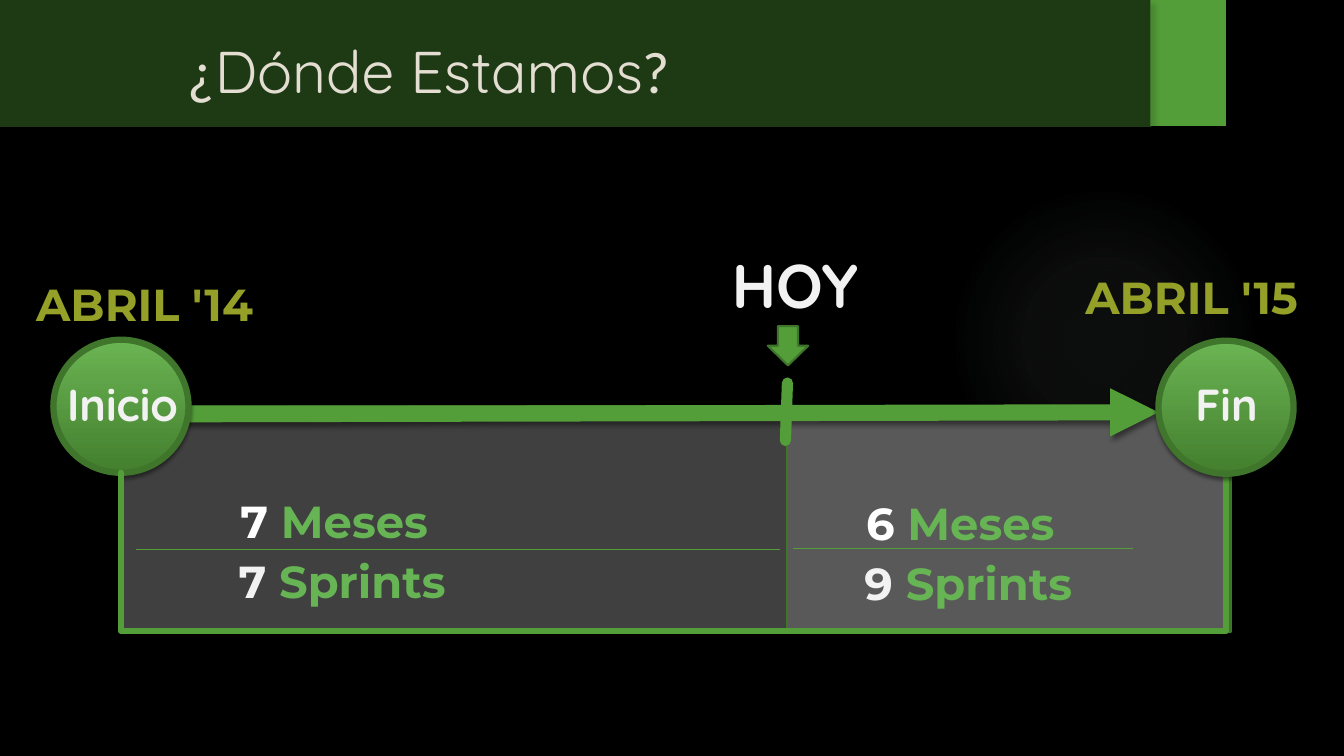
import pptx
import pptx.dml.color
import pptx.enum.dml
import pptx.enum.shapes
import pptx.enum.text
import pptx.oxml
import pptx.oxml.ns
import pptx.util

Inches = pptx.util.Inches
Pt = pptx.util.Pt
qn = pptx.oxml.ns.qn
Preset = pptx.enum.shapes.MSO_SHAPE

COLORS = {
    "black": "000000", "glow": "AFC5B9", "green": "549E39", "edge": "3E752A",
    "past": "404040", "future": "595959", "olive": "94A027", "unit": "66B453",
    "white": "FFFFFF", "soft": "F2F2F2", "cream": "E3DED1",
    "ball_top": "6BB453", "ball_bottom": "437F2E", "ball_edge": "3F762B",
}
NS = pptx.oxml.ns.nsdecls("a")
SOFT_SHADOW = (45, 3, 2, 90)
BAND_SHADOW = (40, 4, 3, 45)


def rgb(name):
    return pptx.dml.color.RGBColor.from_string(COLORS[name])


def color_xml(name, opacity):
    return (f'<a:srgbClr val="{COLORS[name]}">'
            f'<a:alpha val="{opacity * 1000}"/></a:srgbClr>')


def write_runs(paragraph, *parts, size=32, font="Montserrat", bold=True, align=None):
    """Add runs given as (text, colour) or (text, colour, font)."""
    paragraph.alignment = align
    for text, color, *own_font in parts:
        run = paragraph.add_run()
        run.text = text
        run.font.size = Pt(size)
        run.font.bold = bold
        run.font.name = own_font[0] if own_font else font
        run.font.color.rgb = rgb(color)


class TimelineSlide:
    def __init__(self, presentation):
        self.slide = presentation.slides.add_slide(presentation.slide_layouts[5])
        self.shapes = self.slide.shapes
        self.slide.background.fill.solid()
        self.slide.background.fill.fore_color.rgb = rgb("black")

    def style_line(self, line, color, width):
        line.color.rgb = rgb(color)
        line.width = Pt(width)

    def add_effects(self, element, shadow=None):
        """Replace the theme shadow by (opacity, blur, distance, angle) or nothing."""
        effects = pptx.oxml.parse_xml(f"<a:effectLst {NS}/>")
        if shadow:
            opacity, blur, distance, angle = shadow
            effects.append(pptx.oxml.parse_xml(
                f'<a:outerShdw {NS} blurRad="{Pt(blur)}" dist="{Pt(distance)}" '
                f'dir="{angle * 60000}" algn="ctr" rotWithShape="0">'
                f'{color_xml("black", opacity)}</a:outerShdw>'))
        element.spPr.append(effects)

    def shape(self, preset, box, fill=None, edge=None, width=1.5, shadow=None):
        shape = self.shapes.add_shape(preset, *map(Inches, box))
        if fill:
            shape.fill.solid()
            shape.fill.fore_color.rgb = rgb(fill)
        if edge:
            self.style_line(shape.line, edge, width)
        else:
            shape.line.fill.background()
        self.add_effects(shape._element, shadow)
        return shape

    def glow(self, box):
        light = self.shape(Preset.OVAL, box)
        light.fill.gradient()
        stops = "".join(f'<a:gs pos="{pos * 1000}">{color_xml("glow", opacity)}</a:gs>'
                        for pos, opacity in ((0, 7), (36, 6), (69, 0)))
        properties = light._element.spPr
        properties.replace(properties.find(qn("a:gradFill")), pptx.oxml.parse_xml(
            f'<a:gradFill {NS}><a:gsLst>{stops}</a:gsLst><a:path path="circle">'
            '<a:fillToRect l="50000" t="50000" r="50000" b="50000"/>'
            '</a:path></a:gradFill>'))

    def milestone(self, left, top, label, label_left):
        ball = self.shape(Preset.OVAL, (left, top, 1.34, 1.32), edge="ball_edge",
                          width=4.5, shadow=SOFT_SHADOW)
        ball.fill.gradient()
        ball.fill.gradient_angle = 270
        for stop, color, position in zip(ball.fill.gradient_stops,
                                         ("ball_top", "ball_bottom"), (0, 1)):
            stop.color.rgb = rgb(color)
            stop.position = position
        self.label((label_left, 3.69, 1.75, 0.64), (label, "soft"), font="Quicksand")

    def label(self, box, *parts, **text_format):
        frame = self.shapes.add_textbox(*map(Inches, box)).text_frame
        frame.word_wrap = True
        frame.auto_size = pptx.enum.text.MSO_AUTO_SIZE.SHAPE_TO_FIT_TEXT
        write_runs(frame.paragraphs[0], *parts,
                   align=pptx.enum.text.PP_ALIGN.CENTER, **text_format)

    def line(self, start, end, width=0.75, arrow=False, rounded=False, shadow=None):
        connector = self.shapes.add_connector(
            pptx.enum.shapes.MSO_CONNECTOR.STRAIGHT, *map(Inches, start + end))
        self.style_line(connector.line, "green", width)
        outline = connector._element.spPr.find(qn("a:ln"))
        if arrow:
            outline.append(pptx.oxml.parse_xml(f'<a:tailEnd {NS} type="triangle"/>'))
        if rounded:
            outline.set("cap", "rnd")
        self.add_effects(connector._element, shadow)

    def bracket(self, left, top, right, bottom):
        builder = self.shapes.build_freeform(Inches(left), Inches(top))
        corners = ((left, bottom), (right, bottom), (right, top))
        builder.add_line_segments([tuple(map(Inches, c)) for c in corners], close=False)
        outline = builder.convert_to_shape()
        outline.fill.background()
        self.style_line(outline.line, "green", 4.5)
        outline._element.spPr.find(qn("a:ln")).set("cap", "rnd")
        self.add_effects(outline._element)

    def title(self, box, *parts):
        heading = self.shapes.title
        heading.left, heading.top, heading.width, heading.height = map(Inches, box)
        frame = heading.text_frame
        frame.word_wrap = True
        frame.vertical_anchor = pptx.enum.text.MSO_ANCHOR.MIDDLE
        write_runs(frame.paragraphs[0], *parts, size=42, font="Quicksand", bold=False,
                   align=pptx.enum.text.PP_ALIGN.LEFT)
        self.shapes._spTree.append(heading._element)  # in front of the band


def main():
    presentation = pptx.Presentation()
    presentation.slide_width = Inches(13.33)
    presentation.slide_height = Inches(7.5)
    page = TimelineSlide(presentation)

    page.glow((9.41, 1.83, 3.08, 3.08))
    page.shape(Preset.RECTANGLE, (11.41, 0, 0.75, 1.25), "green", shadow=SOFT_SHADOW)
    page.shape(Preset.RECTANGLE, (7.79, 4.09, 4.42, 2.18), "future", "edge")
    page.shape(Preset.RECTANGLE, (1.2, 4.03, 6.61, 2.24), "past", "edge")
    page.line((1.83, 4.11), (11.49, 4.09), 11.5, arrow=True, shadow=SOFT_SHADOW)

    page.label((-0.83, 2.7, 4.53, 0.64), ("ABRIL '14", "olive"))
    page.label((10.26, 2.63, 3.12, 0.64), ("ABRIL '15", "olive"))
    page.milestone(0.53, 3.37, "Inicio", 0.34)
    page.bracket(1.2, 4.69, 12.16, 6.26)
    page.line((7.81, 3.8), (7.79, 4.37), 8, rounded=True)
    page.milestone(11.49, 3.38, "Fin", 11.29)

    page.line((1.35, 5.45), (7.74, 5.45))
    page.line((7.87, 5.44), (11.24, 5.44))
    for left, top, count, count_color, unit in (
            (1.58, 4.85, 7, "white", "Meses"), (1.66, 5.44, 7, "soft", "Sprints"),
            (7.79, 4.87, 6, "white", "Meses"), (7.87, 5.46, 9, "soft", "Sprints")):
        page.label((left, top, 3.47, 0.64), (f"{count} ", count_color), (unit, "unit"))

    today = page.shape(Preset.RIGHT_ARROW, (7.62, 3.23, 0.39, 0.4), "green", "edge")
    today.rotation = 90
    page.label((6.77, 2.4, 2.23, 0.84), ("HOY", "soft"), size=44, font="Quicksand")

    band = page.shape(Preset.RECTANGLE, (0, 0, 11.42, 1.26), "green", shadow=BAND_SHADOW)
    band._element.spPr.find(qn("a:solidFill"))[0].append(
        pptx.oxml.parse_xml(f'<a:alpha {NS} val="37000"/>'))
    page.title((1.76, 0.25, 9.66, 0.89), ("¿", "cream", "Calibri"),
               ("Dónde Estamos", "cream"), ("?", "cream", "Calibri"))
    presentation.save("out.pptx")


if __name__ == "__main__":
    main()
